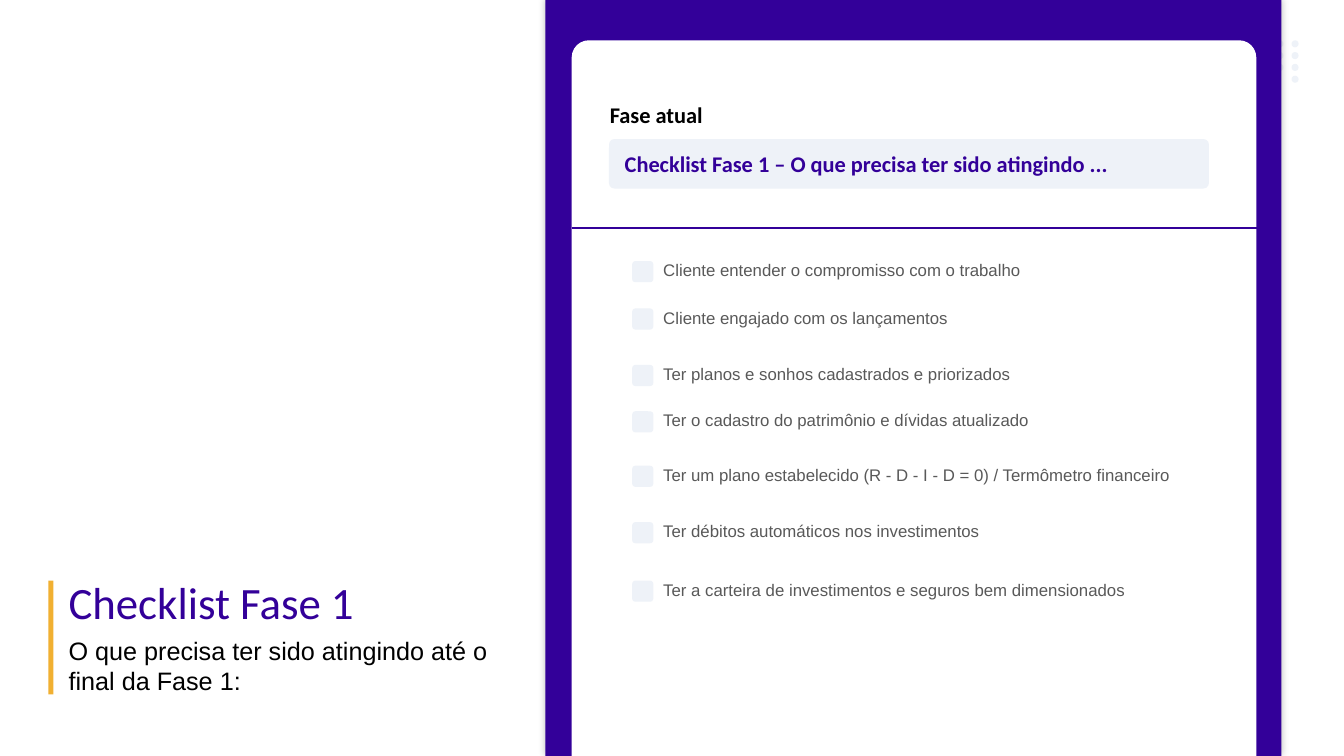
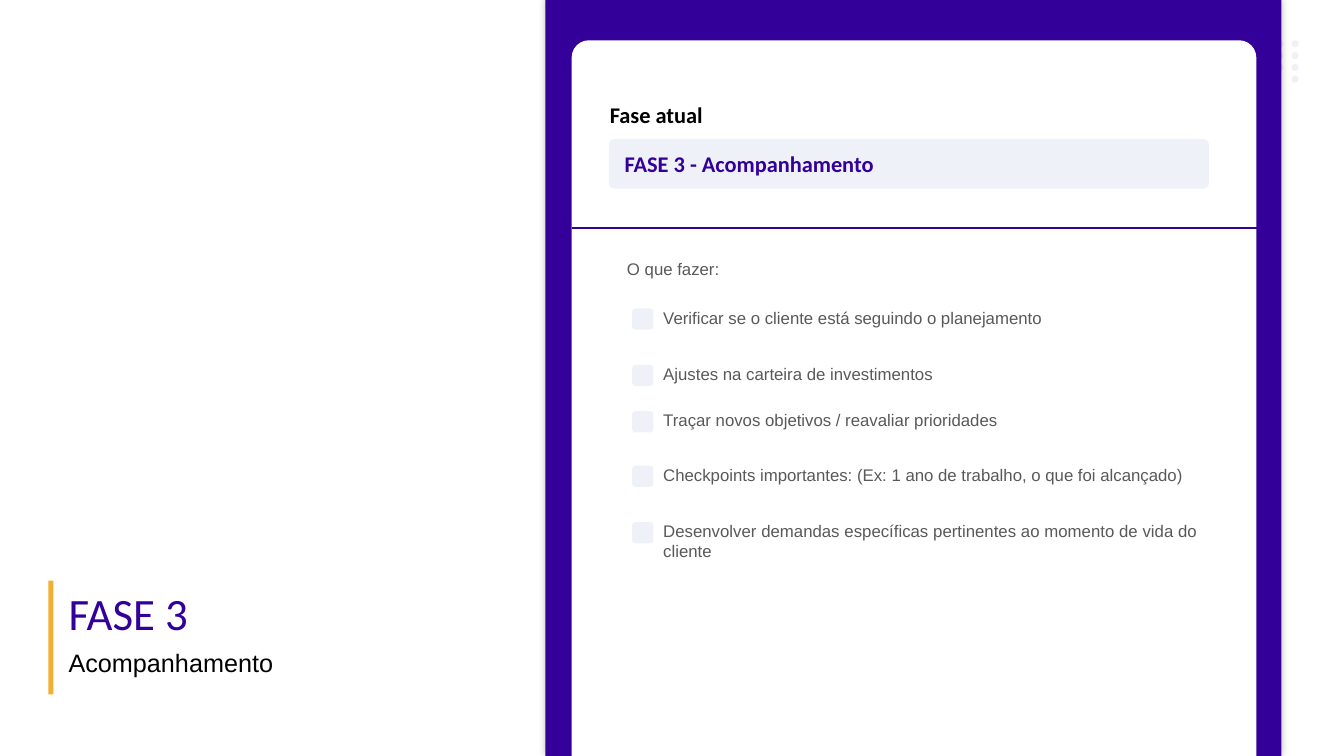
"""Build two phase checklist slides that share one card layout."""
from dataclasses import dataclass
from itertools import product

from lxml.etree import SubElement
from pptx import Presentation
from pptx.dml.color import RGBColor
from pptx.enum.shapes import MSO_CONNECTOR, MSO_SHAPE
from pptx.enum.text import MSO_ANCHOR, MSO_AUTO_SIZE, PP_ALIGN
from pptx.oxml.ns import qn
from pptx.util import Inches, Pt

PURPLE, PALE, AMBER = "330099", "EEF2F8", "F1B032"
WHITE, BLACK, GREY = "FFFFFF", "000000", "595959"

TITLE = {"name": "Calibri", "size": Pt(32), "bold": False}
SUBTITLE = {"name": "Arial", "size": Pt(18), "bold": False}
HEADING = {"name": "Calibri", "size": Pt(16), "bold": True}
ITEM = {"name": "Arial", "size": Pt(12), "bold": False}

ROW_TOPS = (2.53, 3, 3.56, 4.02, 4.56, 5.12, 5.7)
DOT_COLUMNS = (12.66, 12.81)
DOT_PITCH = 0.117
CHECKBOX_SIZE = 0.21


@dataclass(frozen=True)
class Area:
    """A rectangle on the page, in inches."""
    left: float
    top: float
    width: float
    height: float

    def lengths(self) -> tuple:
        """Return the four values as lengths."""
        return tuple(Inches(value) for value in
                     (self.left, self.top, self.width, self.height))


@dataclass(frozen=True)
class Phase:
    """The content of one checklist slide."""
    title: str
    title_top: float
    subtitle: str
    subtitle_area: Area
    banner: str
    items: tuple
    intro: str = ""


PHASES = (
    Phase(
        "Checklist Fase 1", 5.65,
        "O que precisa ter sido atingindo até o final da Fase 1:",
        Area(0.58, 6.25, 4.66, 0.71),
        "Checklist Fase 1 – O que precisa ter sido atingindo ...",
        (
            "Cliente entender o compromisso com o trabalho",
            "Cliente engajado com os lançamentos",
            "Ter planos e sonhos cadastrados e priorizados",
            "Ter o cadastro do patrimônio e dívidas atualizado",
            "Ter um plano estabelecido (R - D - I - D = 0) / Termômetro financeiro",
            "Ter débitos automáticos nos investimentos",
            "Ter a carteira de investimentos e seguros bem dimensionados",
        ),
    ),
    Phase(
        "FASE 3", 5.76,
        "Acompanhamento",
        Area(0.58, 6.37, 4.66, 0.4),
        "FASE 3 - Acompanhamento",
        (
            "Verificar se o cliente está seguindo o planejamento",
            "Ajustes na carteira de investimentos",
            "Traçar novos objetivos / reavaliar prioridades",
            "Checkpoints importantes: (Ex: 1 ano de trabalho, o que foi alcançado)",
            "Desenvolver demandas específicas pertinentes ao momento de vida do cliente",
        ),
        "O que fazer:",
    ),
)


def colour(value: str) -> RGBColor:
    """Turn a hex string into a colour."""
    return RGBColor.from_string(value)


def set_all(target, values: dict) -> None:
    """Set each named attribute on the target."""
    for name, value in values.items():
        setattr(target, name, value)


def write(shape, text: str, style: dict, ink: str,
          align=PP_ALIGN.LEFT, anchor=MSO_ANCHOR.TOP) -> None:
    """Write one formatted paragraph into a shape."""
    frame = shape.text_frame
    set_all(frame, {"word_wrap": True, "auto_size": MSO_AUTO_SIZE.NONE,
                    "vertical_anchor": anchor})
    para = frame.paragraphs[0]
    set_all(para, {"alignment": align, "space_before": Pt(0)})
    span = para.add_run()
    span.text = text
    set_all(span.font, style)
    span.font.color.rgb = colour(ink)


def add_label(shapes, area: Area, text: str, style: dict, ink: str,
              align=PP_ALIGN.LEFT) -> None:
    """Add a text box."""
    write(shapes.add_textbox(*area.lengths()), text, style, ink, align)


def add_block(shapes, kind, area: Area, fill: str, *adjustments: float):
    """Add a filled shape without outline or shadow."""
    block = shapes.add_shape(kind, *area.lengths())
    block.shadow.inherit = False
    block.fill.solid()
    block.fill.fore_color.rgb = colour(fill)
    block.line.fill.background()
    for index, value in enumerate(adjustments):
        block.adjustments[index] = value
    return block


def add_glow(block) -> None:
    """Add a soft black shadow around a block."""
    effects = block._element.spPr.find(qn("a:effectLst"))
    shadow = SubElement(effects, qn("a:outerShdw"), blurRad=str(Pt(5)),
                        dist="0", dir="0", algn="ctr", rotWithShape="0")
    ink = SubElement(shadow, qn("a:srgbClr"), val=BLACK)
    SubElement(ink, qn("a:alpha"), val="24000")


def add_divider(shapes) -> None:
    """Draw the rule under the card heading."""
    rule = shapes.add_connector(MSO_CONNECTOR.STRAIGHT, Inches(5.67),
                                Inches(2.26), Inches(12.55), Inches(2.26))
    rule.line.color.rgb = colour(PURPLE)
    rule.line.width = Pt(1.5)
    SubElement(rule._element.spPr, qn("a:effectLst"))


def add_frame(shapes) -> None:
    """Draw the dots, band, card and accent bar of every page."""
    for row, (column, left) in product(range(4), enumerate(DOT_COLUMNS)):
        if (row, column) != (3, 0):
            dot = Area(left, 0.4 + row * DOT_PITCH, 0.07, 0.07)
            add_block(shapes, MSO_SHAPE.OVAL, dot, PALE)
    add_glow(add_block(shapes, MSO_SHAPE.RECTANGLE,
                       Area(5.41, 0, 7.3, 7.5), PURPLE))
    add_block(shapes, MSO_SHAPE.ROUND_2_SAME_RECTANGLE,
              Area(5.67, 0.4, 6.79, 7.1), WHITE, 0.025, 0)
    add_block(shapes, MSO_SHAPE.RECTANGLE, Area(0.48, 5.76, 0.05, 1.13), AMBER)
    add_label(shapes, Area(5.95, 0.95, 3.66, 0.37), "Fase atual", HEADING, BLACK)
    add_divider(shapes)


def add_item(shapes, top: float, text: str) -> None:
    """Add a checkbox grouped with its text."""
    members = shapes.add_group_shape().shapes
    add_label(members, Area(6.48, top, 5.5, 0.3), text, ITEM, GREY,
              PP_ALIGN.JUSTIFY)
    add_block(members, MSO_SHAPE.ROUNDED_RECTANGLE,
              Area(6.27, top + 0.06, CHECKBOX_SIZE, CHECKBOX_SIZE), PALE, 0.155)


def place(holder, area: Area) -> None:
    """Move and size a placeholder."""
    set_all(holder, dict(zip(("left", "top", "width", "height"),
                             area.lengths())))


def add_page(deck, phase: Phase) -> None:
    """Add one phase slide."""
    page = deck.slides.add_slide(deck.slide_layouts[0])
    shapes = page.shapes
    title, subtitle = page.placeholders
    place(title, Area(0.58, phase.title_top, 4.12, 0.64))
    write(title, phase.title, TITLE, PURPLE)
    place(subtitle, phase.subtitle_area)
    write(subtitle, phase.subtitle, SUBTITLE, BLACK)
    add_frame(shapes)
    banner = add_block(shapes, MSO_SHAPE.ROUNDED_RECTANGLE,
                       Area(6.04, 1.38, 5.95, 0.49), PALE, 0.11)
    banner.text_frame.margin_left = Inches(0.14)
    write(banner, phase.banner, HEADING, PURPLE, anchor=MSO_ANCHOR.MIDDLE)
    if phase.intro:
        add_label(shapes, Area(6.12, 2.52, 5.61, 0.3), phase.intro, ITEM, GREY)
    tops = ROW_TOPS[1:] if phase.intro else ROW_TOPS
    for top, text in zip(tops, phase.items):
        add_item(shapes, top, text)


def main() -> None:
    """Build and save the deck."""
    deck = Presentation()
    set_all(deck, {"slide_width": Inches(13.33), "slide_height": Inches(7.5)})
    for phase in PHASES:
        add_page(deck, phase)
    deck.save("out.pptx")


if __name__ == "__main__":
    main()
